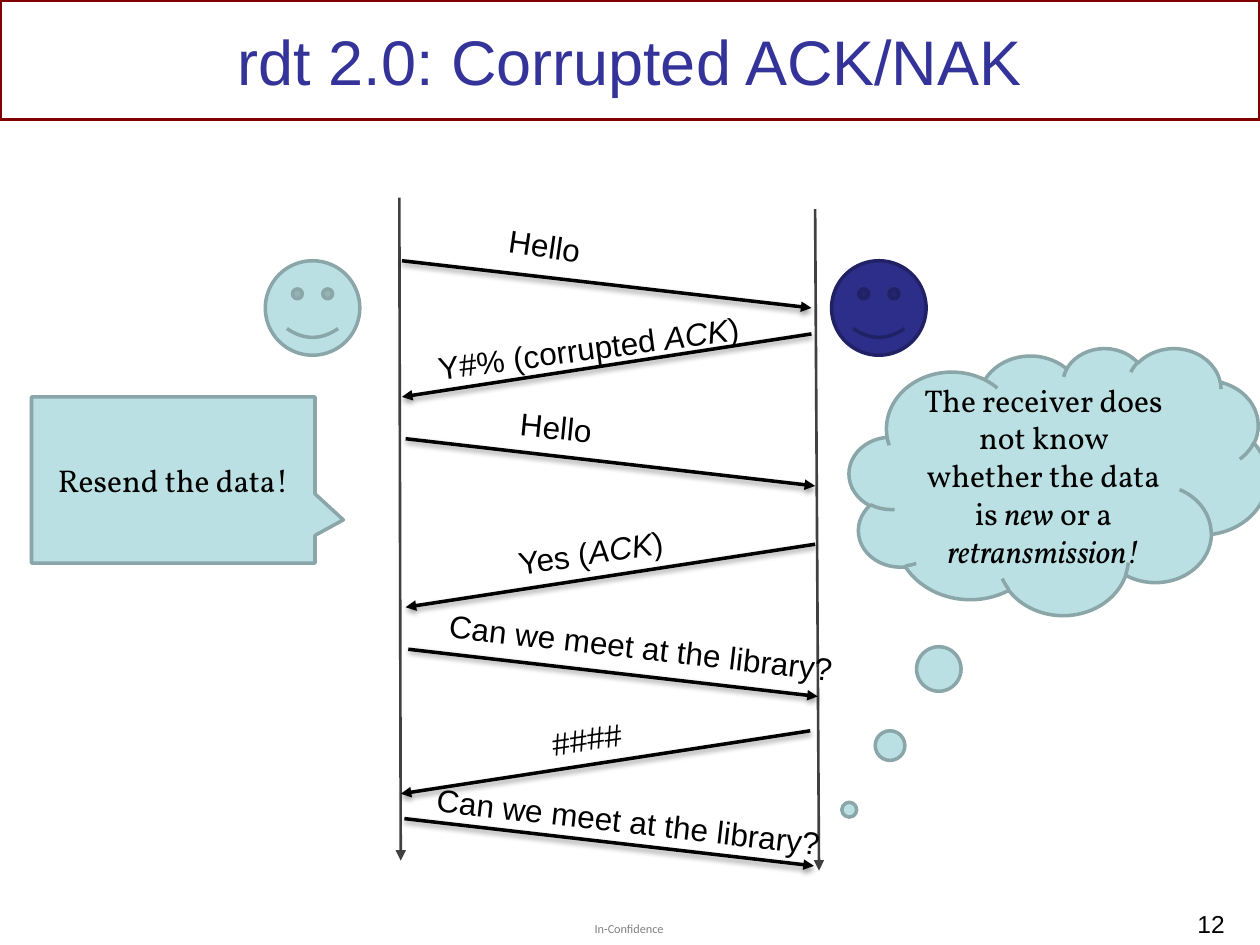
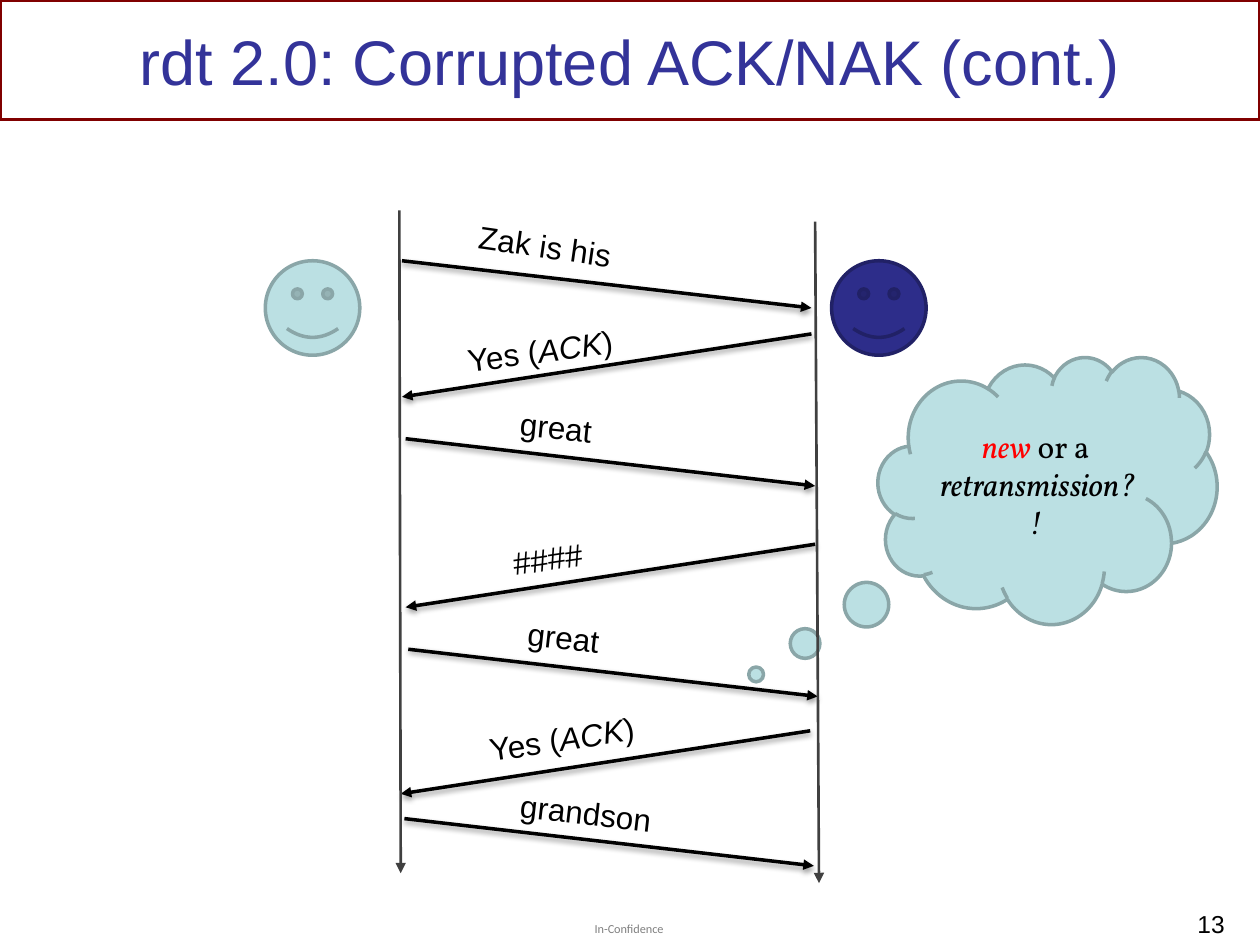
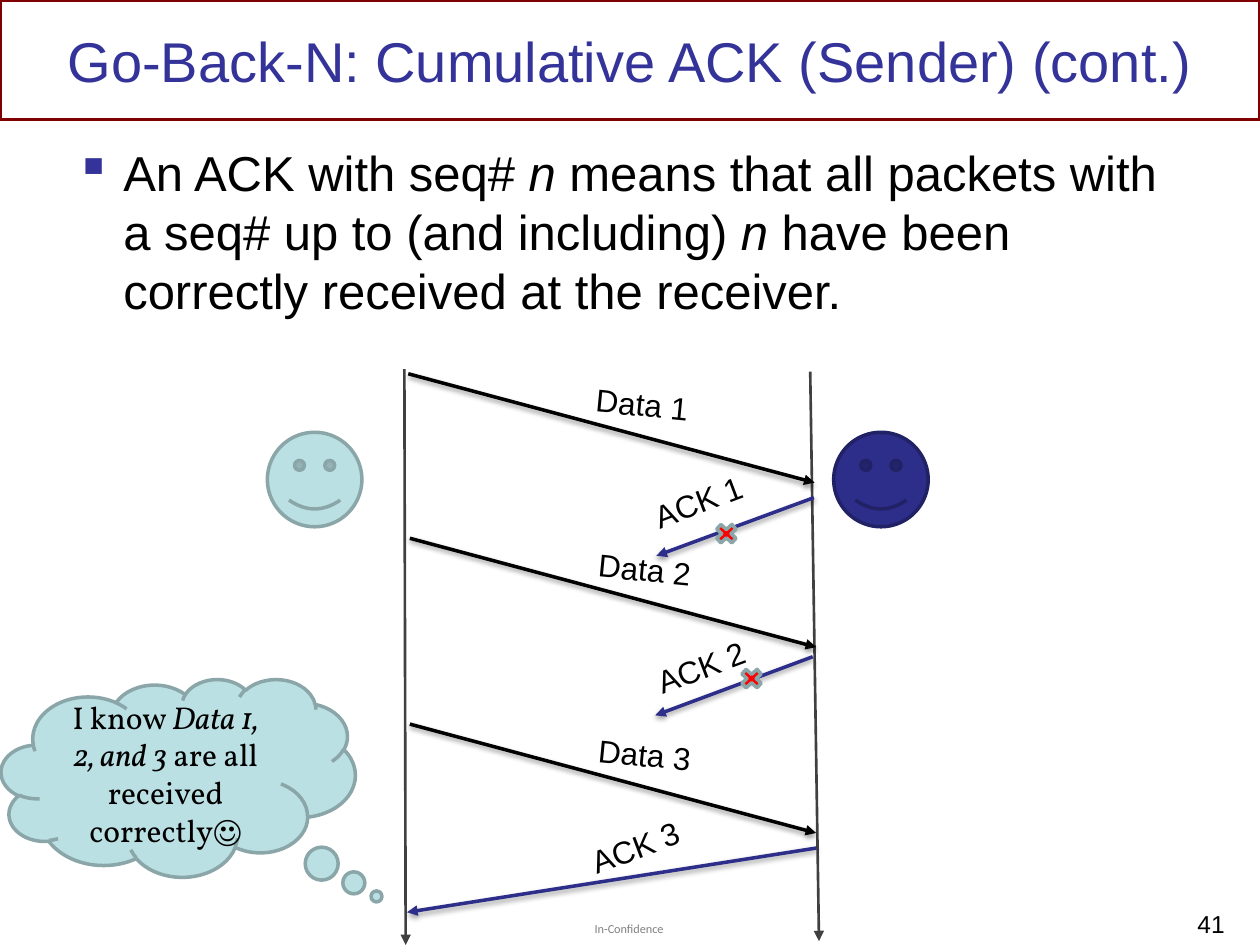
import pptx
import pptx.dml.color
import pptx.enum.shapes
import pptx.enum.text
import pptx.oxml
import pptx.oxml.ns
import pptx.util

Pt = pptx.util.Pt
SHAPE = pptx.enum.shapes.MSO_SHAPE
ALIGN = pptx.enum.text.PP_ALIGN
ANCHOR = pptx.enum.text.MSO_ANCHOR

BLACK, GREY, AXIS = "000000", "808080", "404040"
MAROON, TITLE_BLUE, RED = "800000", "333399", "FF0000"
PALE, PALE_EDGE = "BBE0E3", "8AA6A8"
NAVY, NAVY_EDGE = "2D2D8A", "212166"

LABEL_HEIGHT = 28.8
FACE_SIZE = 54


def rgb(value):
    return pptx.dml.color.RGBColor.from_string(value)


def add_xml(parent, xml):
    element = pptx.oxml.parse_xml(xml.replace(">", f" {pptx.oxml.ns.nsdecls('a')}>", 1))
    parent.append(element)


def write(frame, text, size=18, font="Arial", color=BLACK, align=ALIGN.LEFT,
          anchor=ANCHOR.TOP, wrap=True, bullet=None):
    """Write one paragraph; the parts between asterisks are italic."""
    frame.word_wrap = wrap
    frame.vertical_anchor = anchor
    para = frame.paragraphs[0]
    para.alignment = align
    if bullet:
        properties = para._p.get_or_add_pPr()
        properties.set("marL", str(Pt(27.4)))
        properties.set("indent", str(-Pt(27.4)))
        add_xml(properties, f'<a:buClr><a:srgbClr val="{TITLE_BLUE}"/></a:buClr>')
        add_xml(properties, f'<a:buChar char="{bullet}"></a:buChar>')
    for index, part in enumerate(text.split("*")):
        if part:
            span = para.add_run()
            span.text = part
            span.font.name = font
            span.font.size = Pt(size)
            span.font.color.rgb = rgb(color)
            span.font.italic = index % 2 == 1
    return para


class Slides:
    def __init__(self):
        self.deck = pptx.Presentation()
        self.deck.slide_width, self.deck.slide_height = Pt(720), Pt(540)
        self.page = None

    def start(self, title, number, title_size=36, title_left=36):
        self.page = self.deck.slides.add_slide(self.deck.slide_layouts[6])
        self.shape(SHAPE.RECTANGLE, 0, 0, 720, 68.4, None, MAROON)
        self.text(title, title_left, 5.8, 720 - 2 * title_left, 56.9, size=title_size,
                  color=TITLE_BLUE, align=ALIGN.CENTER, anchor=ANCHOR.MIDDLE)
        self.text("In-Confidence", 339.8, 526.3, 41, 8.6, inset=0, size=7,
                  font="Calibri", color=GREY, wrap=False)
        self.text(str(number), 548.6, 516.2, 158.4, 21.6, size=14, align=ALIGN.RIGHT)

    def text(self, text, left, top, width, height, rotation=0, inset=None, **style):
        box = self.page.shapes.add_textbox(Pt(left), Pt(top), Pt(width), Pt(height))
        box.rotation = rotation
        frame = box.text_frame
        if inset is not None:
            frame.margin_left = frame.margin_right = Pt(inset)
            frame.margin_top = frame.margin_bottom = Pt(inset)
        write(frame, text, **style)

    def shape(self, kind, left, top, width, height, fill, edge, adjustments=()):
        shape = self.page.shapes.add_shape(kind, Pt(left), Pt(top), Pt(width), Pt(height))
        shape.shadow.inherit = False
        if fill:
            shape.fill.solid()
            shape.fill.fore_color.rgb = rgb(fill)
        else:
            shape.fill.background()
        shape.line.color.rgb = rgb(edge)
        shape.line.width = Pt(2)
        for index, value in enumerate(adjustments):
            shape.adjustments[index] = value
        return shape

    def callout(self, text, kind, left, top, width, height, pointer):
        shape = self.shape(kind, left, top, width, height, PALE, PALE_EDGE, pointer)
        return write(shape.text_frame, text, font="Vollkorn", align=ALIGN.CENTER,
                     anchor=ANCHOR.MIDDLE)

    def faces(self, left, top):
        for offset, fill, edge in ((0, PALE, PALE_EDGE), (323.6, NAVY, NAVY_EDGE)):
            self.shape(SHAPE.SMILEY_FACE, left + offset, top, FACE_SIZE, FACE_SIZE, fill, edge)

    def arrow(self, start, end, color=BLACK, width=2, shadow=True):
        line = self.page.shapes.add_connector(
            pptx.enum.shapes.MSO_CONNECTOR.STRAIGHT, *map(Pt, start + end))
        line.line.color.rgb = rgb(color)
        line.line.width = Pt(width)
        add_xml(line.line._get_or_add_ln(), '<a:tailEnd type="triangle"></a:tailEnd>')
        effect = (f'<a:outerShdw blurRad="{Pt(3.1)}" dist="{Pt(1.6)}" dir="5400000" '
                  f'rotWithShape="0"><a:srgbClr val="{BLACK}"><a:alpha val="38000"/>'
                  '</a:srgbClr></a:outerShdw>') if shadow else ""
        add_xml(line._element.spPr, f"<a:effectLst>{effect}</a:effectLst>")

    def timelines(self, *ends):
        for start, end in ends:
            self.arrow(start, end, AXIS, 1.5, shadow=False)

    def exchange(self, labels):
        """Draw the alternating messages between sender and receiver."""
        for index, ((left, top, rotation), label) in enumerate(zip(MESSAGES, labels)):
            right = left + 234
            if index % 2 == 0:
                self.arrow((left, top), (right, top + 27))
            else:
                self.arrow((right, top), (left, top + 36))
            text, label_left, label_top, width = label
            self.text(text, label_left, label_top, width, LABEL_HEIGHT, rotation, wrap=False)


MESSAGES = [
    (229.7, 149, 8.3), (229.7, 190.8, -7.6), (231.8, 250.7, 5.7), (231.8, 311, -8.6),
    (233.3, 371, 6.5), (229, 417.6, -8.6), (231.1, 467.8, 6.5),
]


def corrupted_timelines(slides, shift=0):
    slides.timelines(((228.2, 113 + shift), (229, 491.8 + shift)),
                     ((465.8, 119.5 + shift), (468, 497.5 + shift)))


def corrupted_slide(slides):
    slides.start("rdt 2.0: Corrupted ACK/NAK", 12)
    slides.faces(151.6, 149)
    corrupted_timelines(slides)
    slides.exchange([
        ("Hello", 283.7, 126, 56.2),
        ("Y#% (corrupted *ACK*)", 242.6, 184.3, 189.4),
        ("Hello", 290.2, 229.7, 56.2),
        ("Yes (*ACK*)", 288.7, 301, 98.6),
        ("Can we meet at the library?", 249.1, 355.7, 241.9),
        ("####", 308.2, 407.5, 54.7),
        ("Can we meet at the library?", 241.9, 455, 236.9),
    ])
    slides.callout("The receiver does not know whether the data is *new* or a *retransmission!*",
                   SHAPE.CLOUD_CALLOUT, 485.3, 198.7, 239, 152.6, (-0.5, 1.23))
    slides.callout("Resend the data!", SHAPE.RECTANGULAR_CALLOUT,
                   18, 226.8, 162, 95, (0.6, 0.24))


def corrupted_continued_slide(slides):
    slides.start("rdt 2.0: Corrupted ACK/NAK (cont.)", 13)
    slides.faces(151.6, 149)
    slides.exchange([
        ("Zak is his", 266.4, 126, 91.4),
        ("Yes (*ACK*)", 259.9, 185.8, 98.6),
        ("great", 290.2, 229.7, 56.2),
        ("####", 285.8, 304.6, 54.7),
        ("great", 294.5, 349.9, 56.2),
        ("Yes (*ACK*)", 272.2, 407.5, 98.6),
        ("grandson", 290.2, 450, 90),
    ])
    thought = slides.callout("*new* or a *retransmission?!*", SHAPE.CLOUD_CALLOUT,
                             501.8, 203.8, 193.7, 152.6, (-0.86, 0.69))
    thought.runs[0].font.color.rgb = rgb(RED)
    corrupted_timelines(slides, 7.2)


def cumulative_slide(slides):
    slides.start("Go-Back-N: Cumulative ACK (Sender) (cont.)", 41, 32, 0)
    slides.text("An ACK with seq# *n* means that all packets with a seq# up to "
                "(and including) *n* have been correctly received at the receiver.",
                36, 77.8, 648, 121, size=28, bullet="▪")
    slides.faces(152.8, 247)
    slides.timelines(((231.1, 211), (231.8, 540)), ((463, 212.4), (468, 537.8)))
    data = [((233.3, 213.6), 333.4, 216.7), ((234.2, 307.6), 334.8, 311),
            ((234.2, 413.8), 334.8, 416.9)]
    acks = [((465.1, 284.4), (375.1, 317.6), 365, 267.8),
            ((464.4, 375.3), (374.4, 408.8), 366.5, 362.2),
            ((466.6, 484.6), (232.6, 521.3), 329, 465.1)]
    for number, (packet, ack) in enumerate(zip(data, acks), 1):
        (left, top), label_left, label_top = packet
        slides.arrow((left, top), (left + 232.2, top + 62.2))
        slides.text(f"Data {number}", label_left, label_top, 72, LABEL_HEIGHT, 5.7)
        start, end, label_left, label_top = ack
        slides.arrow(start, end, NAVY)
        slides.text(f"ACK {number}", label_left, label_top, 91.4, LABEL_HEIGHT, -20.7)
    for left, top in ((406.8, 297.4), (421.2, 380.2)):
        slides.shape(SHAPE.MATH_MULTIPLY, left, top, 16.6, 15.1, RED, PALE_EDGE)
    slides.callout("I know *Data 1, 2, and 3 *are all received correctly☺",
                   SHAPE.CLOUD_CALLOUT, 0.7, 388, 202.3, 113, (0.56, 0.6))


def main():
    slides = Slides()
    corrupted_slide(slides)
    corrupted_continued_slide(slides)
    cumulative_slide(slides)
    slides.deck.save("out.pptx")


if __name__ == "__main__":
    main()
